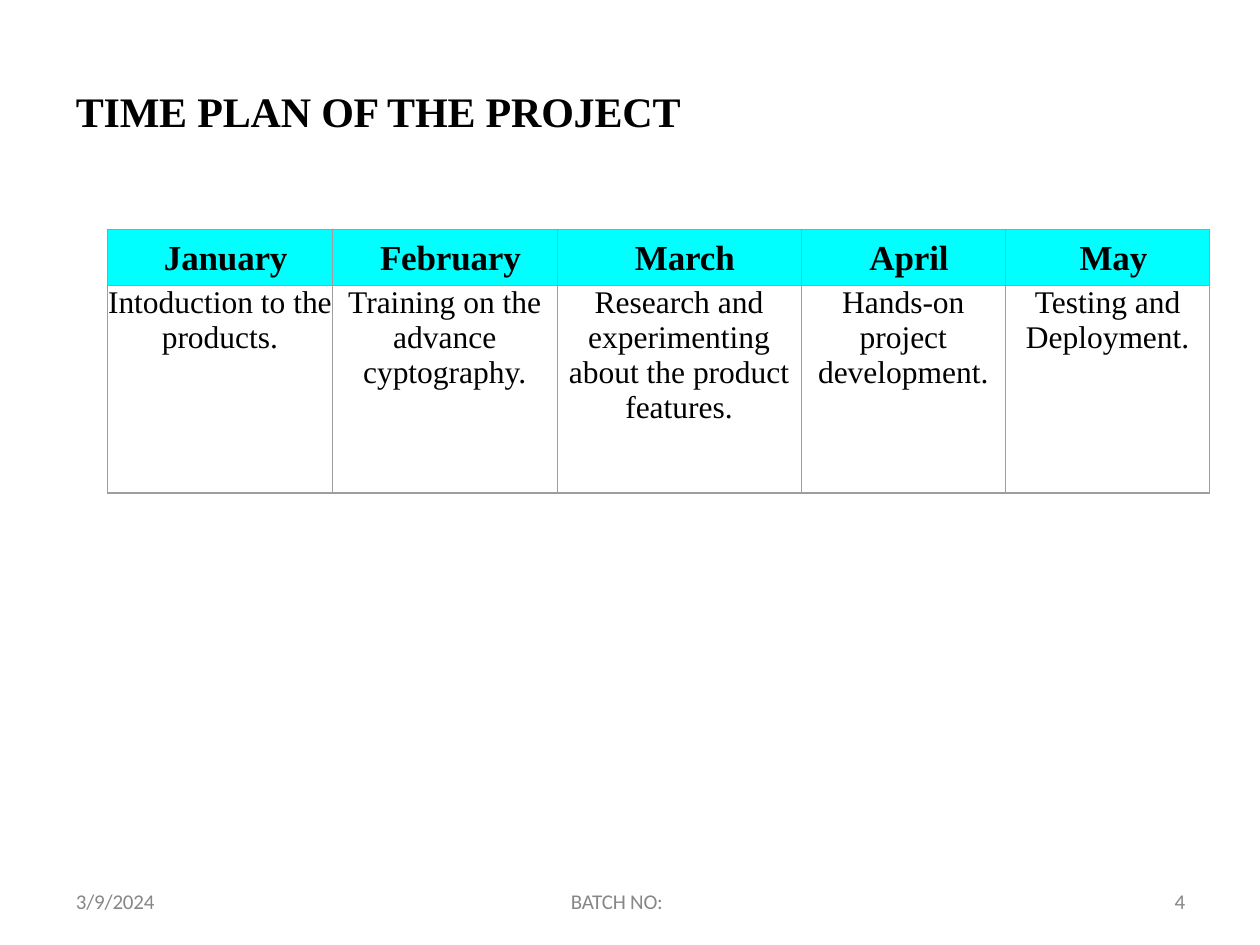
from lxml.etree import SubElement
from pptx import Presentation
from pptx.dml.color import RGBColor
from pptx.enum.text import MSO_ANCHOR, PP_ALIGN
from pptx.oxml.ns import qn
from pptx.util import Cm, Pt

BLACK = RGBColor(0x00, 0x00, 0x00)
GREY = RGBColor(0x87, 0x87, 0x87)
CYAN = RGBColor(0x00, 0xFF, 0xFF)
BORDER = RGBColor(0x9E, 0x9E, 0x9E)
SERIF = "Times New Roman"
SANS = "Calibri"

PLAN = {
    "January": "Intoduction to the products.",
    "February": "Training on the advance cyptography.",
    "March": "Research and experimenting about the product features.",
    "April": "Hands-on project development.",
    "May": "Testing and Deployment.",
}
COLUMN_WIDTHS = (4.53, 4.53, 4.92, 4.12, 4.12)
ROW_HEIGHTS = (1.14, 4.18)


def write(text_frame, text, size, font=SERIF, color=BLACK, bold=False,
          align=PP_ALIGN.LEFT, line_spacing=None, tracking=0):
    """Fill the first paragraph; tracking is in hundredths of a point."""
    text_frame.word_wrap = True
    paragraph = text_frame.paragraphs[0]
    paragraph.alignment = align
    if line_spacing:
        paragraph.line_spacing = Pt(line_spacing)
    run = paragraph.add_run()
    run.text = text
    run.font.size = Pt(size)
    run.font.name = font
    run.font.bold = bold
    run.font.color.rgb = color
    if tracking:
        run.font._element.set("spc", str(tracking))


def add_text(slide, left, top, width, height, text, indent=0.03, **style):
    text_frame = slide.shapes.add_textbox(
        Cm(left), Cm(top), Cm(width), Cm(height)).text_frame
    text_frame.margin_left = Cm(indent)
    text_frame.margin_top = text_frame.margin_right = text_frame.margin_bottom = 0
    write(text_frame, text, **style)


def set_borders(cell, color, width):
    properties = cell._tc.get_or_add_tcPr()
    for side in ("lnL", "lnR", "lnT", "lnB"):
        line = SubElement(properties, qn(f"a:{side}"), w=str(Pt(width)))
        fill = SubElement(line, qn("a:solidFill"))
        SubElement(fill, qn("a:srgbClr"), val=str(color))


def format_cell(cell, text, is_header):
    cell.margin_left = Cm(0.23 if is_header else 0)
    cell.margin_top = Cm(0.2 if is_header else 0)
    cell.margin_right = cell.margin_bottom = 0
    cell.vertical_anchor = MSO_ANCHOR.TOP
    set_borders(cell, BORDER, 0.75)
    if is_header:
        cell.fill.solid()
        cell.fill.fore_color.rgb = CYAN
    else:
        cell.fill.background()
    write(cell.text_frame, text, size=20 if is_header else 18, bold=is_header,
          align=PP_ALIGN.CENTER, tracking=-10 if is_header else 0)


def add_plan_table(slide, left, top):
    table = slide.shapes.add_table(
        len(ROW_HEIGHTS), len(COLUMN_WIDTHS), Cm(left), Cm(top),
        Cm(sum(COLUMN_WIDTHS)), Cm(sum(ROW_HEIGHTS))).table
    table.first_row = table.horz_banding = False
    for row, height in zip(table.rows, ROW_HEIGHTS):
        row.height = Cm(height)
    for column, width in zip(table.columns, COLUMN_WIDTHS):
        column.width = Cm(width)
    for index, (month, task) in enumerate(PLAN.items()):
        format_cell(table.cell(0, index), month, is_header=True)
        format_cell(table.cell(1, index), task, is_header=False)


def add_footer(slide, top, height):
    style = dict(size=12, font=SANS, color=GREY, line_spacing=12.4)
    add_text(slide, 1.5, top, 2.03, height, "3/9/2024", tracking=-10, **style)
    add_text(slide, 11.48, top, 2.01, height, "BATCH NO:", tracking=-10, **style)
    add_text(slide, 23.6, top, 0.36, height, "4", indent=0.08, **style)


def main():
    presentation = Presentation()
    presentation.slide_width = Cm(25.4)
    presentation.slide_height = Cm(19.05)
    slide = presentation.slides.add_slide(presentation.slide_layouts[6])
    add_footer(slide, top=17.98, height=0.48)
    add_text(slide, 1.5, 1.73, 12.32, 1.09, "TIME PLAN OF THE PROJECT",
             size=24, bold=True, tracking=-10)
    add_plan_table(slide, left=2.17, top=4.62)
    presentation.save("out.pptx")


if __name__ == "__main__":
    main()
